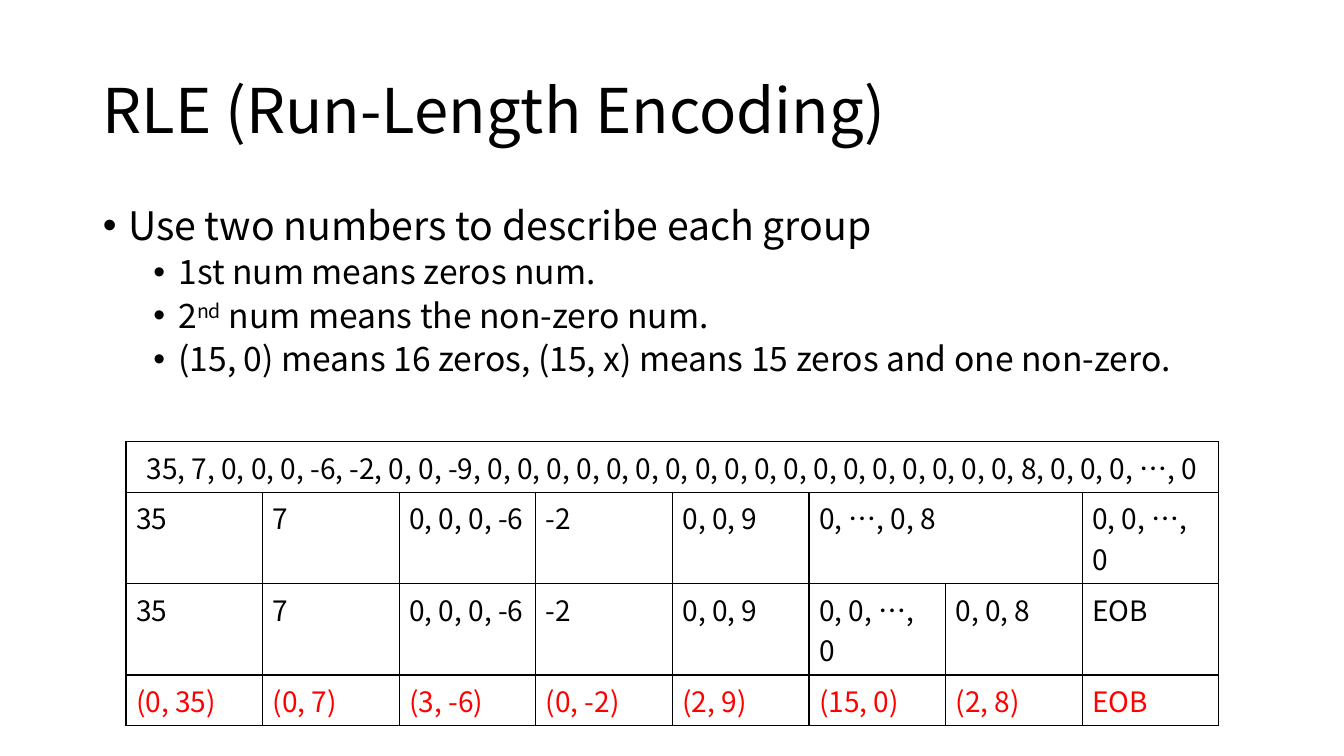
"""Build the run-length encoding slide with its worked example table."""
from dataclasses import dataclass

import lxml.etree
import pptx
import pptx.dml.color
import pptx.enum.text
import pptx.oxml.ns
import pptx.util

EMU_PER_PX = 9144
FONT = "Noto Sans CJK SC"
BLACK = "000000"
RED = "FF0000"
COLUMNS = 8
TABLE_BOX = (125, 438, 1084, 170)
ROW_HEIGHTS = (47, 41, 41, 41)


@dataclass(frozen=True)
class Bullet:
    runs: tuple[str, ...]
    level: int = 1
    size: int = 24
    space_before: int = 5
    indent: int = 75
    superscript: str = ""


@dataclass(frozen=True)
class Entry:
    text: str
    span: int = 1
    color: str = BLACK
    centered: bool = False


BULLETS = (
    Bullet(("Use two numbers to describe each group",), 0, 28, 10, 25),
    Bullet(("1st num means zeros num.",)),
    Bullet(("2", "nd", " num means the non-zero num."), superscript="nd"),
    Bullet(("(15, 0) means 16 zeros, (15, x) means 15 zeros and one non-zero.",)),
)
SEQUENCE = ", ".join(
    ["35, 7, 0, 0, 0, -6, -2, 0, 0, -9"] + ["0"] * 18 + ["8, 0, 0, 0, …, 0"]
)
SHARED = tuple(Entry(text) for text in ("35", "7", "0, 0, 0, -6", "-2", "0, 0, 9"))
CODES = ("(0, 35)", "(0, 7)", "(3, -6)", "(0, -2)", "(2, 9)", "(15, 0)", "(2, 8)", "EOB")
ROWS = (
    (Entry(SEQUENCE, COLUMNS, centered=True),),
    SHARED + (Entry("0, …, 0, 8", 2), Entry("0, 0, …, 0")),
    SHARED + (Entry("0, 0, …, 0"), Entry("0, 0, 8"), Entry("EOB")),
    tuple(Entry(code, color=RED) for code in CODES),
)


def px(length: int) -> pptx.util.Emu:
    return pptx.util.Emu(length * EMU_PER_PX)


def rgb(color: str) -> pptx.dml.color.RGBColor:
    return pptx.dml.color.RGBColor.from_string(color)


def add_child(parent, tag: str, **attributes: str):
    return lxml.etree.SubElement(parent, pptx.oxml.ns.qn(tag), attributes)


def add_run(paragraph, text: str, size: int, color: str = BLACK):
    run = paragraph.add_run()
    run.text = text
    run.font.size = pptx.util.Pt(size)
    run.font.name = FONT
    run.font.color.rgb = rgb(color)
    properties = run._r.get_or_add_rPr()
    add_child(properties, "a:ea", typeface=FONT)
    return run


def place(shape, left: int, top: int, width: int, height: int) -> None:
    shape.left, shape.top = px(left), px(top)
    shape.width, shape.height = px(width), px(height)


def add_title(slide) -> None:
    title = slide.shapes.title
    place(title, 92, 40, 1150, 145)
    title.text_frame.vertical_anchor = pptx.enum.text.MSO_ANCHOR.MIDDLE
    paragraph = title.text_frame.paragraphs[0]
    paragraph.alignment = pptx.enum.text.PP_ALIGN.LEFT
    paragraph.line_spacing = 0.9
    add_run(paragraph, "RLE (Run-Length Encoding)", 44)


def add_bullet(paragraph, bullet: Bullet) -> None:
    paragraph.level = bullet.level
    paragraph.line_spacing = 0.9
    paragraph.space_before = pptx.util.Pt(bullet.space_before)
    properties = paragraph._p.get_or_add_pPr()
    properties.set("marL", str(px(bullet.indent)))
    properties.set("indent", str(px(-25)))
    add_child(properties, "a:buFont", typeface="Arial")
    add_child(properties, "a:buChar", char="•")
    for text in bullet.runs:
        run = add_run(paragraph, text, bullet.size)
        if text == bullet.superscript:
            run._r.get_or_add_rPr().set("baseline", "30000")


def add_body(slide) -> None:
    body = slide.placeholders[1]
    place(body, 92, 200, 1150, 476)
    frame = body.text_frame
    frame.auto_size = pptx.enum.text.MSO_AUTO_SIZE.TEXT_TO_FIT_SHAPE
    for index, bullet in enumerate(BULLETS):
        paragraph = frame.add_paragraph() if index else frame.paragraphs[0]
        add_bullet(paragraph, bullet)


def format_cell(cell) -> None:
    properties = cell._tc.get_or_add_tcPr()
    for side in ("a:lnL", "a:lnR", "a:lnT", "a:lnB"):
        line = add_child(properties, side, w=str(pptx.util.Pt(1)))
        add_child(add_child(line, "a:solidFill"), "a:srgbClr", val=BLACK)
    cell.fill.background()


def fill_row(table, row: int, entries: tuple[Entry, ...]) -> None:
    column = 0
    for entry in entries:
        cell = table.cell(row, column)
        if entry.span > 1:
            cell.merge(table.cell(row, column + entry.span - 1))
        paragraph = cell.text_frame.paragraphs[0]
        if entry.centered:
            paragraph.alignment = pptx.enum.text.PP_ALIGN.CENTER
        add_run(paragraph, entry.text, 20, entry.color)
        column += entry.span


def add_example(slide) -> None:
    frame = slide.shapes.add_table(len(ROWS), COLUMNS, *map(px, TABLE_BOX))
    table = frame.table
    table.first_row = False
    table.horz_banding = False
    for row, height in zip(table.rows, ROW_HEIGHTS):
        row.height = px(height)
    for cell in table.iter_cells():
        format_cell(cell)
    for row, entries in enumerate(ROWS):
        fill_row(table, row, entries)


def main() -> None:
    presentation = pptx.Presentation()
    presentation.slide_width = px(1333)
    presentation.slide_height = px(750)
    slide = presentation.slides.add_slide(presentation.slide_layouts[1])
    add_title(slide)
    add_body(slide)
    add_example(slide)
    presentation.save("out.pptx")


if __name__ == "__main__":
    main()
